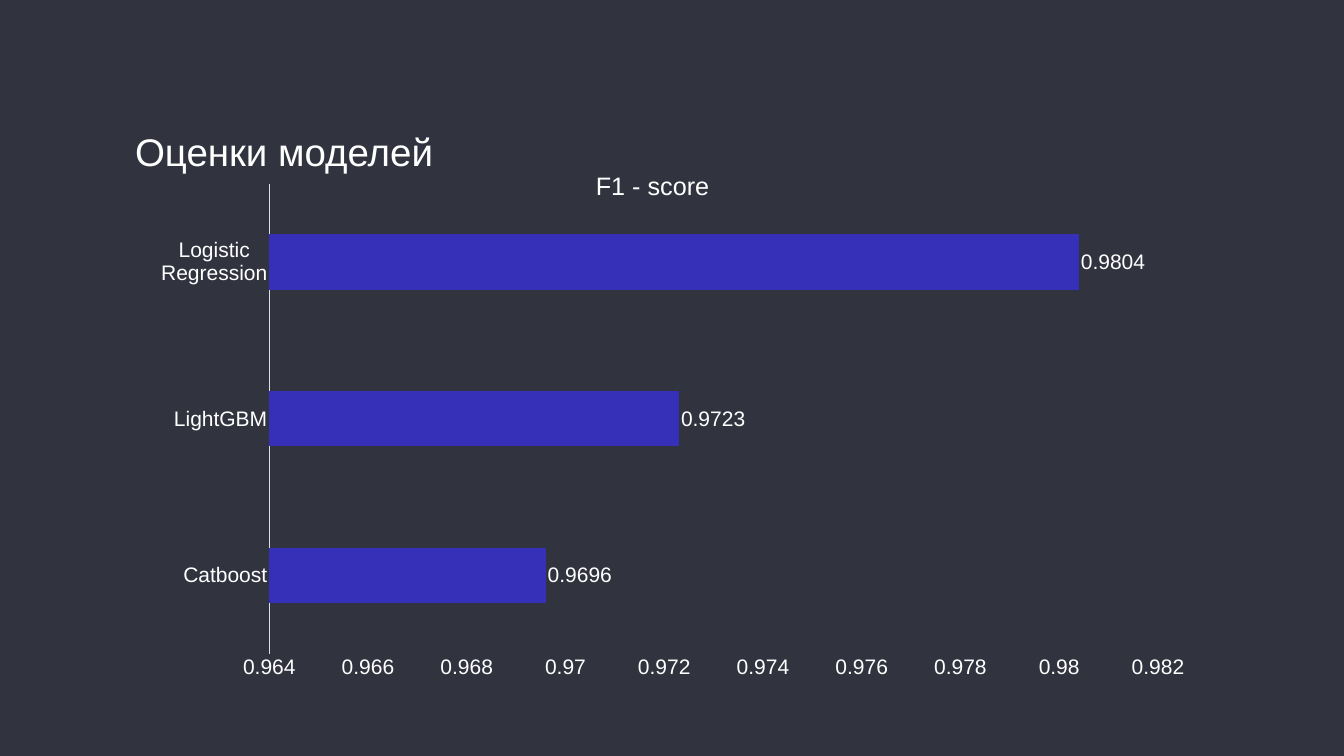
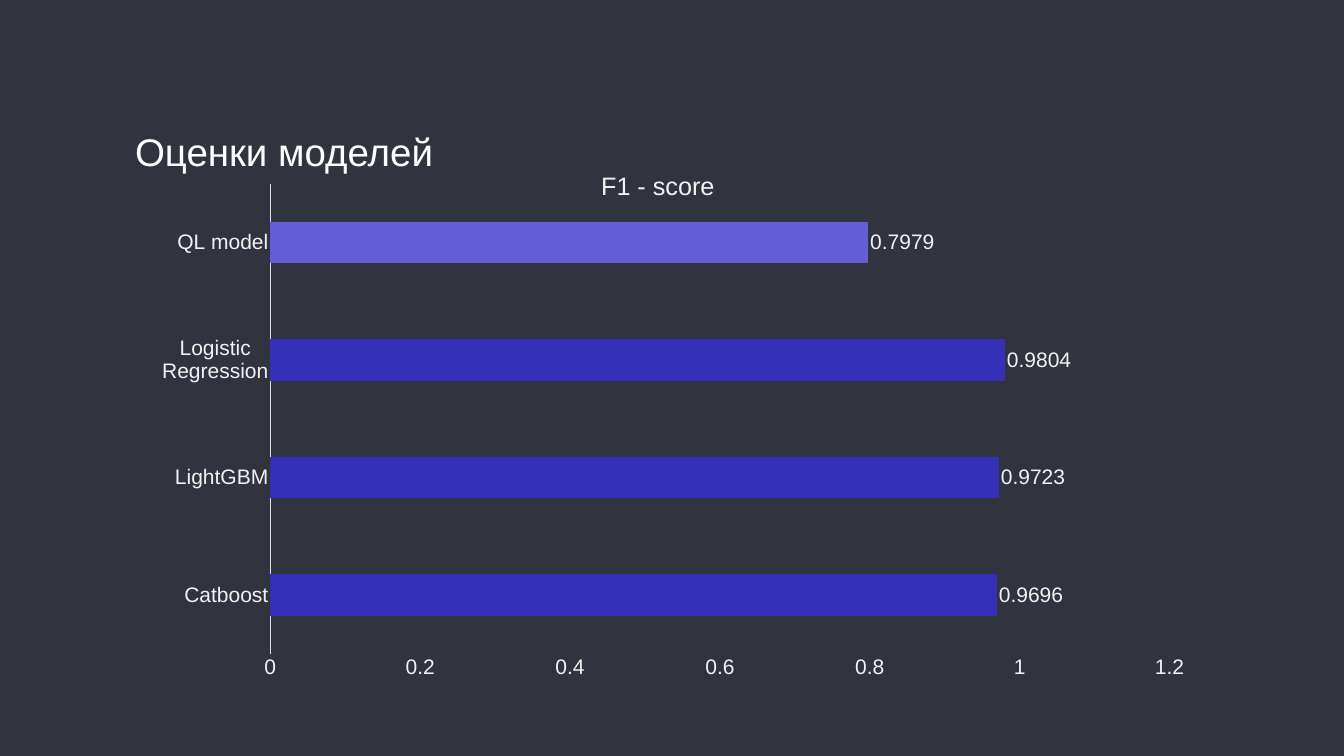
from lxml.etree import SubElement
from pptx import Presentation
from pptx.chart.data import CategoryChartData
from pptx.dml.color import RGBColor
from pptx.enum.chart import XL_CHART_TYPE, XL_LABEL_POSITION, XL_TICK_MARK
from pptx.enum.text import MSO_ANCHOR
from pptx.oxml.ns import qn
from pptx.util import Inches, Pt

BACKGROUND, WHITE, OFF_WHITE = "31333F", "FFFFFF", "F2F2F2"
AXIS_LINE, INDIGO, DEEP_INDIGO, VIOLET = "DDDEE5", "3530B7", "352FB8", "635ED6"
FONT = "Arial"
TITLE_BOX = (2.62, 2.47, 9.97, 1.04)
CHART_BOX = (2.75, 2.84, 20.75, 10.87)
SCORES = [("Catboost", 0.9696), ("LightGBM", 0.9723), ("Logistic Regression", 0.9804)]


def rgb(color):
    return RGBColor.from_string(color)


def style_font(font, size, color):
    font.name, font.size, font.bold = FONT, Pt(size), False
    font.color.rgb = rgb(color)


def write(frame, text, size=30, color=WHITE):
    frame.text = text
    style_font(frame.paragraphs[0].runs[0].font, size, color)


def place_in_chart(parent, index, inner=False, **fractions):
    """Set the manual layout of a chart part, in fractions of the chart."""
    for layout in parent.findall(qn("c:layout")):
        parent.remove(layout)
    layout = SubElement(parent, qn("c:layout"))
    parent.insert(index, layout)
    manual = SubElement(layout, qn("c:manualLayout"))
    settings = {"layoutTarget": "inner"} if inner else {}
    settings.update(xMode="edge", yMode="edge", **fractions)
    for tag, value in settings.items():
        SubElement(manual, qn(f"c:{tag}")).set("val", str(value))


def add_title(slide, box, text):
    title = slide.shapes.add_textbox(*map(Inches, box))
    frame = title.text_frame
    frame.word_wrap = True
    frame.vertical_anchor = MSO_ANCHOR.MIDDLE
    frame.margin_left = frame.margin_right = Inches(0.06)
    frame.margin_top = frame.margin_bottom = Inches(0.06)
    write(frame, text, size=55)


def add_score_chart(slide, box, scores, scale, color, bar_color, point_colors,
                    plot_x, plot_width, heading_x):
    data = CategoryChartData(number_format="General")
    data.categories = [model for model, _ in scores]
    data.add_series("Series 1", [score for _, score in scores])
    chart = slide.shapes.add_chart(
        XL_CHART_TYPE.BAR_CLUSTERED, *map(Inches, box), data).chart
    chart.has_legend = False
    style_font(chart.font, 30, color)

    # Heading and plot area
    chart.has_title = True
    write(chart.chart_title.text_frame, "F1 - score", size=36, color=color)
    place_in_chart(chart.chart_title.element if hasattr(chart.chart_title, "element")
                   else chart.element.find(".//" + qn("c:title")), 1,
                   x=heading_x, y=0.04)
    place_in_chart(chart.element.find(".//" + qn("c:plotArea")), 0, inner=True,
                   x=plot_x, y=0.074, w=plot_width, h=0.858)

    # Axes
    for axis in (chart.category_axis, chart.value_axis):
        axis.has_major_gridlines = False
        axis.major_tick_mark = axis.minor_tick_mark = XL_TICK_MARK.NONE
        style_font(axis.tick_labels.font, 30, color)
    model_line = chart.category_axis.format.line
    model_line.color.rgb = rgb(AXIS_LINE)
    model_line.width = Pt(0.75)
    score_axis = chart.value_axis
    score_axis.format.line.fill.background()
    score_axis.minimum_scale, score_axis.maximum_scale, score_axis.major_unit = scale

    # Bars and their values
    plot = chart.plots[0]
    plot.gap_width = 182
    plot.vary_by_categories = False
    bars = plot.series[0]
    bars.format.fill.solid()
    bars.format.fill.fore_color.rgb = rgb(bar_color)
    for index, point_color in enumerate(point_colors):
        fill = bars.points[index].format.fill
        fill.solid()
        fill.fore_color.rgb = rgb(point_color)
    labels = bars.data_labels
    labels.show_value = True
    labels.position = XL_LABEL_POSITION.OUTSIDE_END
    style_font(labels.font, 30, color)


def add_score_slide(deck, **chart_options):
    slide = deck.slides.add_slide(deck.slide_layouts[6])
    slide.background.fill.solid()
    slide.background.fill.fore_color.rgb = rgb(BACKGROUND)
    add_score_chart(slide, CHART_BOX, **chart_options)
    add_title(slide, TITLE_BOX, "Оценки моделей")


def main():
    deck = Presentation()
    deck.slide_width, deck.slide_height = Inches(26.67), Inches(15)
    # Own models
    add_score_slide(deck, scores=SCORES, scale=(0.964, 0.982, 0.002), color=WHITE,
                    bar_color=INDIGO, point_colors=[],
                    plot_x=0.125, plot_width=0.85, heading_x=0.433)
    # Own models against the ready-made model
    add_score_slide(deck, scores=SCORES + [("QL model", 0.7979)], scale=(0, 1.2, 0.2),
                    color=OFF_WHITE, bar_color=VIOLET,
                    point_colors=[DEEP_INDIGO, DEEP_INDIGO, INDIGO],
                    plot_x=0.126, plot_width=0.86, heading_x=0.438)
    deck.save("out.pptx")


if __name__ == "__main__":
    main()
